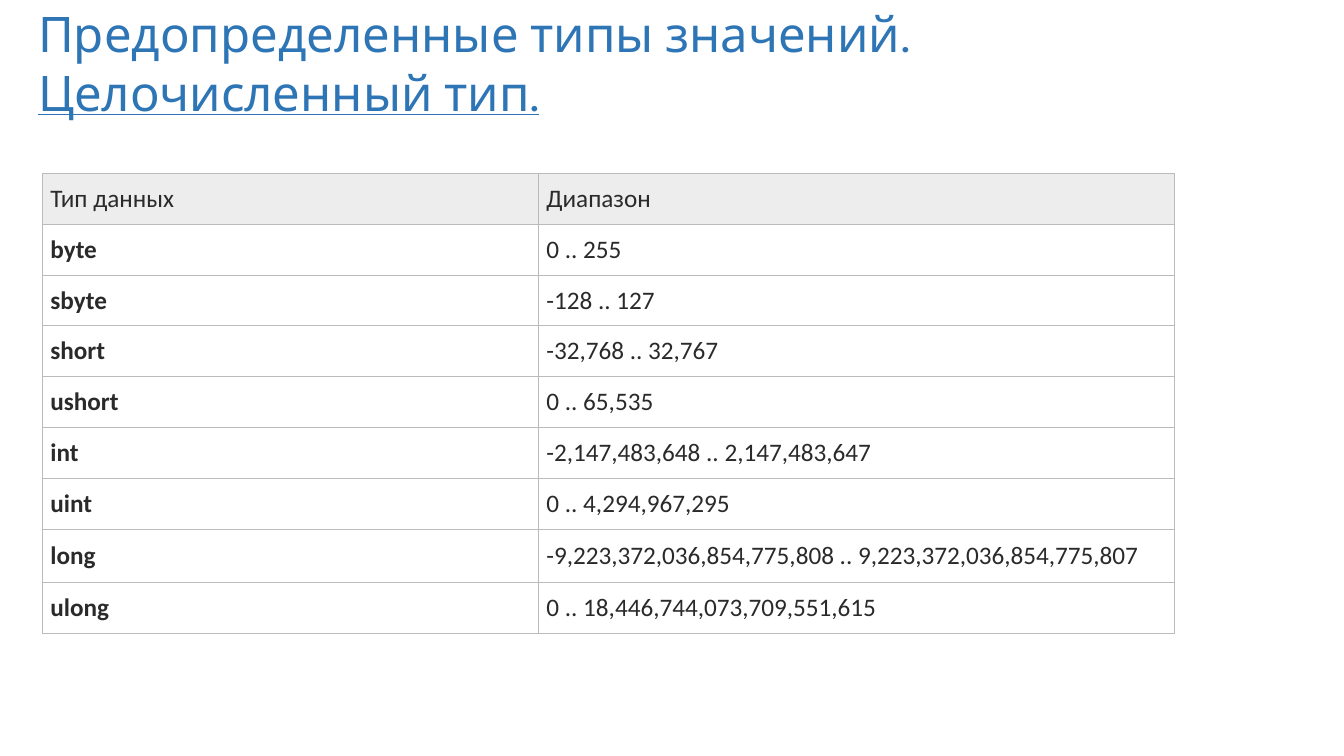
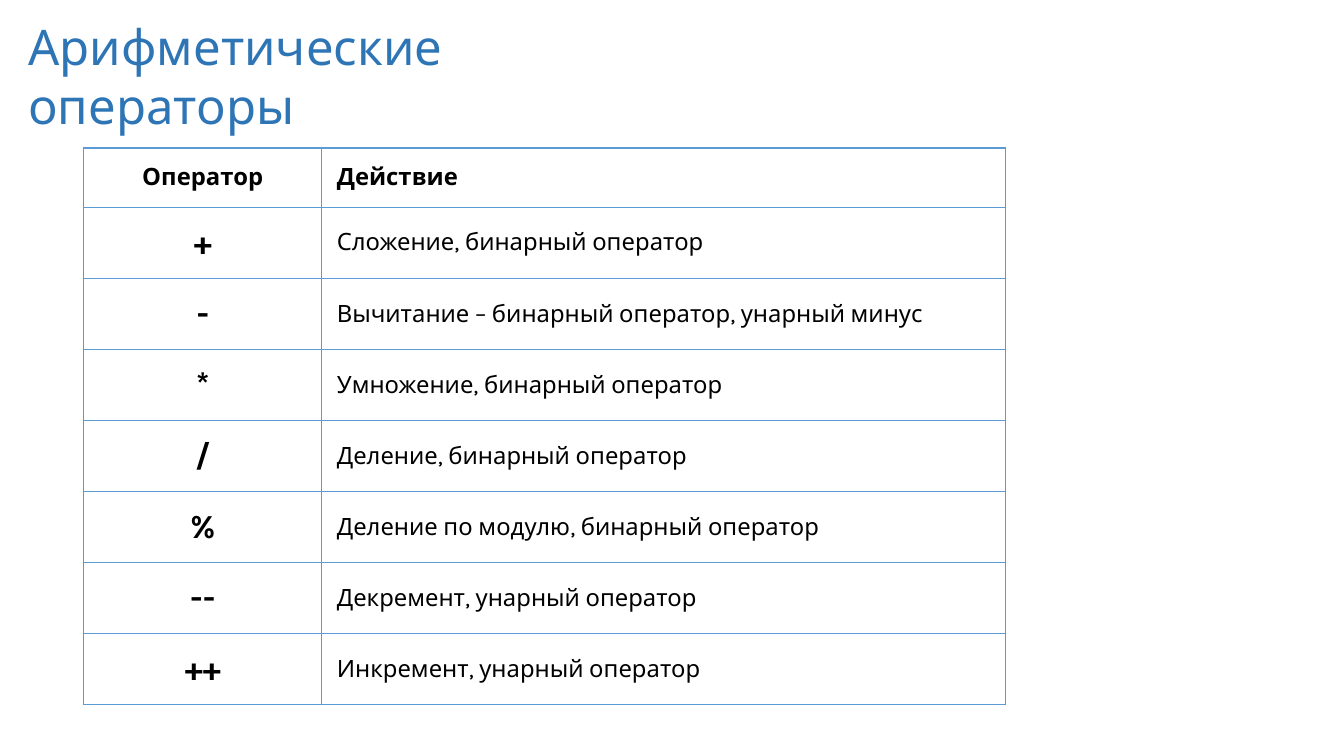
from lxml import etree
from pptx import Presentation
from pptx.dml.color import RGBColor
from pptx.enum.text import MSO_ANCHOR, MSO_AUTO_SIZE, PP_ALIGN
from pptx.oxml.ns import qn
from pptx.util import Cm, Pt

LEFT, CENTER = PP_ALIGN.LEFT, PP_ALIGN.CENTER
MIDDLE = MSO_ANCHOR.MIDDLE
GROW = MSO_AUTO_SIZE.SHAPE_TO_FIT_TEXT

TITLE_BLUE = RGBColor(0x2E, 0x75, 0xB6)
BORDER_BLUE = RGBColor(0x5B, 0x9B, 0xD5)
BORDER_GREY = RGBColor(0xBB, 0xBB, 0xBB)
HEADER_GREY = RGBColor(0xED, 0xED, 0xED)
DARK = RGBColor(0x2A, 0x2A, 0x2A)
BLACK = RGBColor(0, 0, 0)
WHITE = RGBColor(0xFF, 0xFF, 0xFF)
TITLE_FONT, BODY_FONT = "Karla", "Calibri"

TYPES = [
    ("Тип данных", "Диапазон"),
    ("byte", "0 .. 255"),
    ("sbyte", "-128 .. 127"),
    ("short", "-32,768 .. 32,767"),
    ("ushort", "0 .. 65,535"),
    ("int", "-2,147,483,648 .. 2,147,483,647"),
    ("uint", "0 .. 4,294,967,295"),
    ("long", "-9,223,372,036,854,775,808 .. 9,223,372,036,854,775,807"),
    ("ulong", "0 .. 18,446,744,073,709,551,615"),
]
OPERATORS = [
    ("Оператор", "Действие"),
    ("+", "Сложение, бинарный оператор"),
    ("-", "Вычитание – бинарный оператор, унарный минус"),
    ("*", "Умножение, бинарный оператор"),
    ("/", "Деление, бинарный оператор"),
    ("%", "Деление по модулю, бинарный оператор"),
    ("--", "Декремент, унарный оператор"),
    ("++", "Инкремент, унарный оператор"),
]


def write(para, text, *, size, font, color, bold=False, underline=False, align=LEFT):
    para.alignment = align
    span = para.add_run()
    span.text = text
    span.font.size = Pt(size)
    span.font.name = font
    span.font.color.rgb = color
    span.font.bold = bold
    span.font.underline = underline


def add_title(page, lines, left, top, width, height):
    box = page.shapes.add_textbox(Cm(left), Cm(top), Cm(width), Cm(height))
    frame = box.text_frame
    frame.word_wrap = True
    frame.auto_size = GROW
    for index, (text, underline) in enumerate(lines):
        para = frame.add_paragraph() if index else frame.paragraphs[0]
        write(para, text, size=35, font=TITLE_FONT, color=TITLE_BLUE, underline=underline)


def set_borders(cell, color, points):
    properties = cell._tc.get_or_add_tcPr()
    for index, side in enumerate(("a:lnL", "a:lnR", "a:lnT", "a:lnB")):
        line = etree.Element(qn(side), w=str(Pt(points)))
        fill = etree.SubElement(line, qn("a:solidFill"))
        etree.SubElement(fill, qn("a:srgbClr"), val=str(color))
        properties.insert(index, line)


def add_grid(page, rows, left, top, widths, heights, *, margins, border, points, header_fill, style):
    frame = page.shapes.add_table(
        len(rows), len(widths), Cm(left), Cm(top), Cm(sum(widths)), Cm(sum(heights)))
    table = frame.table
    table.first_row = table.horz_banding = False
    for column, width in zip(table.columns, widths):
        column.width = Cm(width)
    for row, height in zip(table.rows, heights):
        row.height = Cm(height)
    side, vertical = (Cm(margin) for margin in margins)
    for r, texts in enumerate(rows):
        for c, text in enumerate(texts):
            cell = table.cell(r, c)
            cell.margin_left = cell.margin_right = side
            cell.margin_top = cell.margin_bottom = vertical
            cell.vertical_anchor = MIDDLE
            cell.fill.solid()
            cell.fill.fore_color.rgb = WHITE if r else header_fill
            set_borders(cell, border, points)
            write(cell.text_frame.paragraphs[0], text, **style(r, c))


def type_style(row, column):
    return dict(size=18, font=BODY_FONT, color=DARK, bold=row > 0 and column == 0)


def operator_style(row, column):
    return dict(
        size=24 if row and column == 0 else 17,
        font=TITLE_FONT,
        color=BLACK,
        bold=row == 0 or column == 0,
        align=LEFT if column else CENTER,
    )


def main():
    deck = Presentation()
    deck.slide_width, deck.slide_height = Cm(33.87), Cm(19.05)
    blank = deck.slide_layouts[6]

    page = deck.slides.add_slide(blank)
    add_title(
        page,
        [("Предопределенные типы значений.", False), ("Целочисленный тип.", True)],
        0.71, -0.03, 26, 3.25)
    type_heights = [1.35 if name == "long" else 1.28 for name, _ in TYPES]
    add_grid(
        page, TYPES, 1.07, 4.37, (12.5, 16.02), type_heights, margins=(0.2, 0.25),
        border=BORDER_GREY, points=0.75, header_fill=HEADER_GREY, style=type_style)

    page = deck.slides.add_slide(blank)
    add_title(page, [("Арифметические операторы", False)], 0.46, 0.3, 16.81, 1.75)
    operator_heights = [1.5] + [1.79] * (len(OPERATORS) - 1)
    add_grid(
        page, OPERATORS, 2.11, 3.73, (6, 17.23), operator_heights, margins=(0.38, 0.38),
        border=BORDER_BLUE, points=1, header_fill=WHITE, style=operator_style)

    deck.save("out.pptx")


if __name__ == "__main__":
    main()
